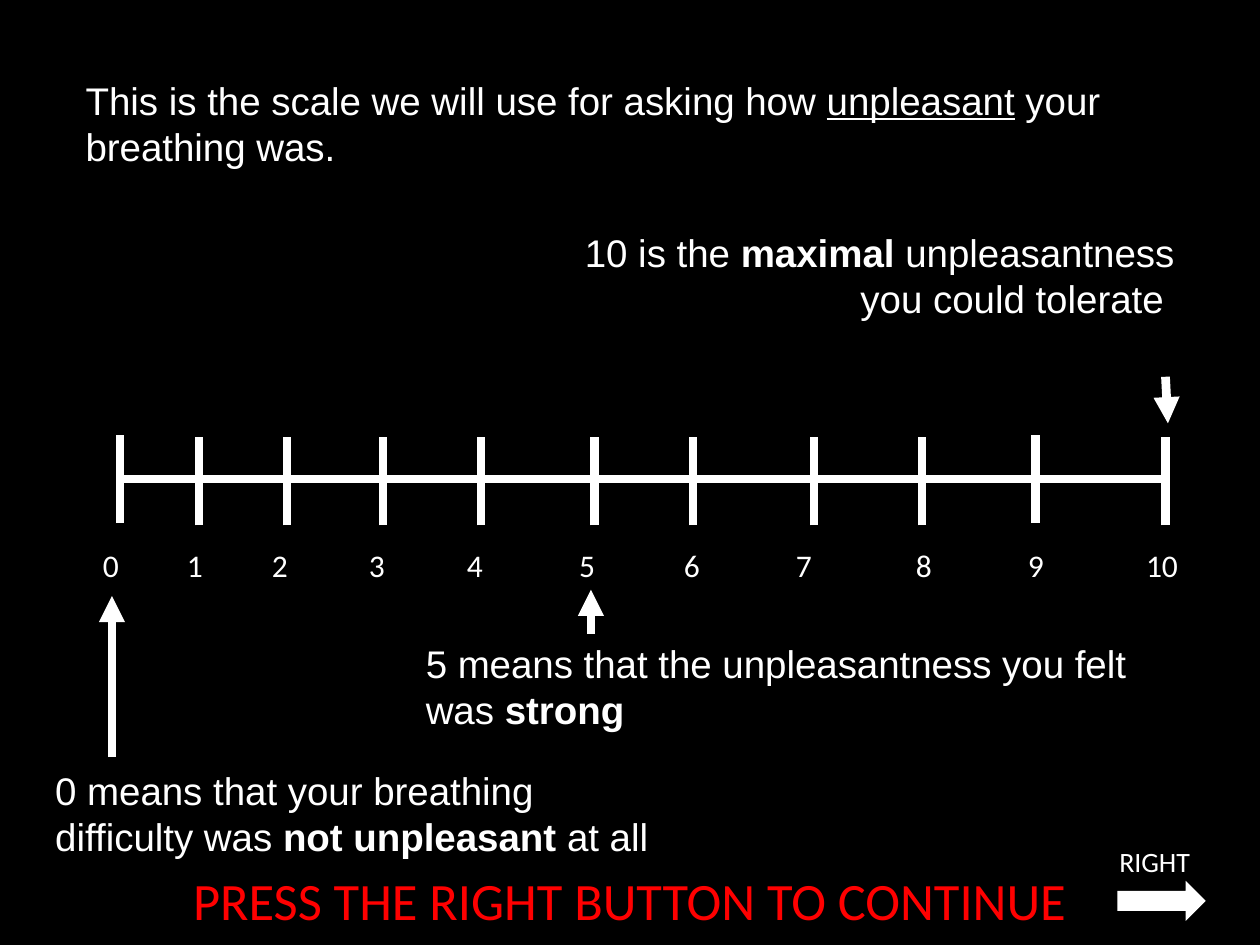
from lxml.etree import SubElement
from pptx import Presentation
from pptx.dml.color import RGBColor
from pptx.enum.shapes import MSO_CONNECTOR as Link, MSO_SHAPE as Shape
from pptx.enum.text import MSO_ANCHOR as Anchor, MSO_AUTO_SIZE as Fit, PP_ALIGN as Align
from pptx.oxml.ns import qn
from pptx.util import Pt

WHITE, RED, BLACK = "FFFFFF", "FF0000", "000000"

# Notes: box, alignment, runs of (text, style)
NOTES = [
    ((41.8, 40.3, 637.2, 60.5), Align.LEFT, [
        ("This is the scale we will use for asking how ", ""),
        ("unpleasant", "u"), (" your breathing was.", "")]),
    ((24.5, 434.9, 355.7, 60.5), Align.LEFT, [
        ("0 means that your breathing difficulty was ", ""),
        ("not unpleasant ", "b"), ("at all", "")]),
    ((236.2, 362.2, 431.3, 60.5), Align.LEFT, [
        ("5 means that the unpleasantness you felt was ", ""),
        ("strong", "b")]),
    ((295.9, 127.4, 382.3, 60.5), Align.RIGHT, [
        ("10 is the ", ""), ("maximal", "b"),
        (" unpleasantness you could tolerate ", "")]),
]

# Scale: x of each tick, raised ticks, tab stops of the numbers
TICKS = [68.4, 113.8, 164.2, 218.9, 275, 339.8, 396, 465.1, 527, 591.8, 666]
RAISED = {0, 9}
TABS = [48, 96.5, 152, 208, 272, 332, 396, 464.5, 528.5, 596]
AXIS, TOP, TALL = 273.6, 249.8, 50.4

# Arrows: from x, y to x, y
ARROWS = [(64, 432.7, 64, 340.6), (337.7, 362.2, 337.7, 337),
          (666, 215.3, 667.4, 241.9)]


def color(code):
    return RGBColor.from_string(code)


def add_text(box, runs, size, font="Calibri", code=WHITE, align=Align.LEFT,
             anchor=Anchor.TOP, fit=Fit.NONE):
    frame = slide.shapes.add_textbox(*map(Pt, box)).text_frame
    frame.word_wrap = True
    frame.auto_size = fit
    frame.vertical_anchor = anchor
    para = frame.paragraphs[0]
    para.alignment = align
    for text, style in runs:
        run = para.add_run()
        run.text = text
        run.font.size, run.font.name = Pt(size), font
        run.font.color.rgb = color(code)
        if style == "b":
            run.font.bold = True
        elif style == "u":
            run.font.underline = True
    return para


def add_line(ends, width, head=False):
    line = slide.shapes.add_connector(Link.STRAIGHT, *map(Pt, ends))
    line.line.color.rgb = color(WHITE)
    line.line.width = Pt(width)
    if head:
        SubElement(line.line._get_or_add_ln(), qn("a:tailEnd"), type="triangle")
    SubElement(line._element.spPr, qn("a:effectLst"))


# Black slide
deck = Presentation()
deck.slide_width, deck.slide_height = Pt(720), Pt(540)
slide = deck.slides.add_slide(deck.slide_layouts[6])
back = slide.background.fill
back.solid()
back.fore_color.rgb = color(BLACK)

# Numbers, set on tab stops
para = add_text((51.8, 308.2, 630.7, 29), [("\t".join(map(str, range(11))), "")],
                18, fit=Fit.SHAPE_TO_FIT_TEXT)
stops = SubElement(para._p.get_or_add_pPr(), qn("a:tabLst"))
for tab in TABS:
    SubElement(stops, qn("a:tab"), pos=str(int(Pt(tab))), algn="l")

# Notes and their arrows
for box, align, runs in NOTES:
    add_text(box, runs, 22, "Arial", align=align, fit=Fit.SHAPE_TO_FIT_TEXT)
for ends in ARROWS:
    add_line(ends, 5, head=True)

# Axis and ticks
add_line((TICKS[0], AXIS, TICKS[-1], AXIS), 4.75)
for num, x in enumerate(TICKS):
    top = TOP - (1.3 if num in RAISED else 0)
    add_line((x, top + TALL, x, top), 4.75)

# Prompt and button hint
add_text((0, 488.2, 720, 51.8), [("PRESS THE RIGHT BUTTON TO CONTINUE", "")],
         30, code=RED, align=Align.CENTER, anchor=Anchor.MIDDLE)
add_text((599.8, 479, 120, 61), [("RIGHT", "")], 16, align=Align.CENTER)
arrow = slide.shapes.add_shape(Shape.RIGHT_ARROW, *map(Pt, (638.6, 503.3, 50.4, 23)))
arrow.shadow.inherit = False
arrow.fill.solid()
arrow.fill.fore_color.rgb = color(WHITE)
arrow.line.fill.background()

deck.save("out.pptx")
